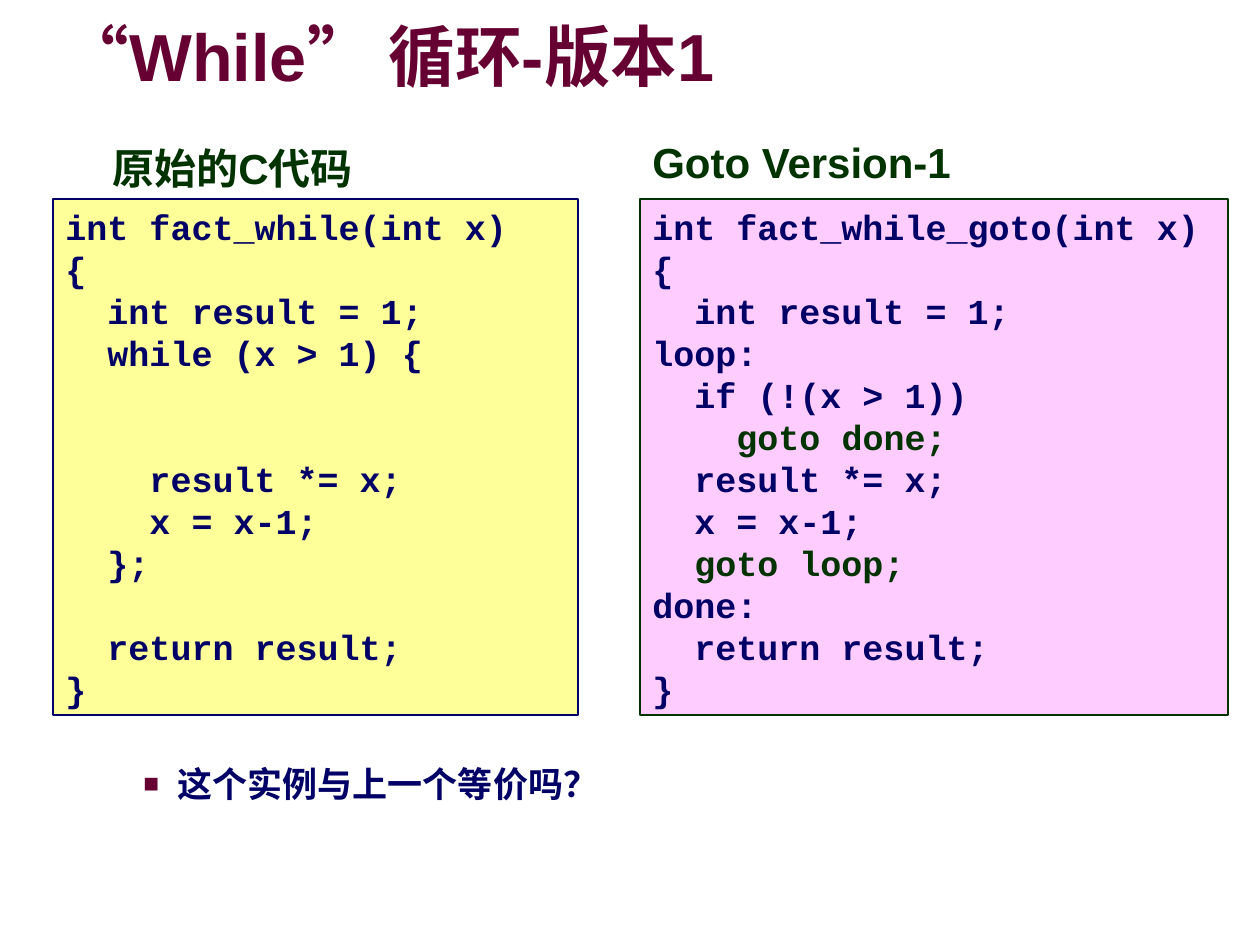
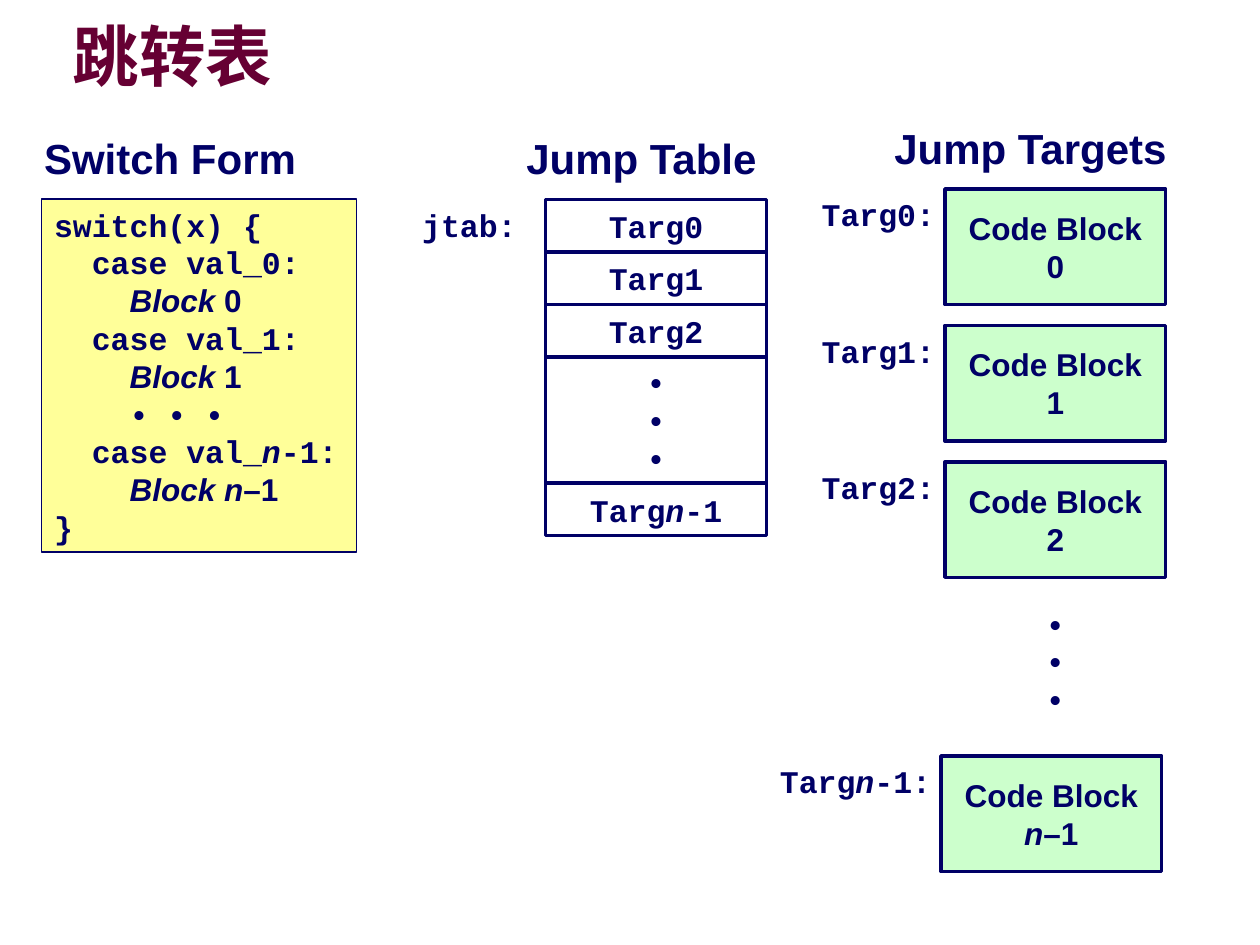
from dataclasses import dataclass, replace
from typing import Optional, Sequence, Union

from lxml import etree
from pptx import Presentation
from pptx.dml.color import RGBColor
from pptx.enum.shapes import MSO_SHAPE as Preset
from pptx.enum.text import MSO_ANCHOR as Anchor, PP_ALIGN as Align
from pptx.oxml.ns import qn
from pptx.util import Cm, Pt

COLORS = {
    "title": "660033",
    "navy": "000066",
    "green": "003300",
    "yellow": "FFFF99",
    "pink": "FFCCFF",
    "mint": "CCFFCC",
    "white": "FFFFFF",
}
SANS, MONO = "Arial", "Courier New"
LINE_FACTOR = 1.2  # line pitch as a multiple of the text size


@dataclass(frozen=True)
class Piece:
    """A stretch of text; unset fields come from the style."""
    text: str
    italic: bool = False
    font: Optional[str] = None
    color: Optional[str] = None


Line = Union[str, Sequence[Piece]]


@dataclass(frozen=True)
class Style:
    font: str
    size: float
    color: str = "navy"
    align: Align = Align.LEFT
    spacing: Optional[float] = None  # relative spacing instead of the fixed pitch


@dataclass(frozen=True)
class Area:
    """Left, top, width and height in centimetres."""
    left: float
    top: float
    width: float
    height: float

    def lengths(self) -> tuple:
        return Cm(self.left), Cm(self.top), Cm(self.width), Cm(self.height)


@dataclass(frozen=True)
class Look:
    fill: str
    line: Optional[str] = "navy"
    weight: float = 2


@dataclass(frozen=True)
class Target:
    name: Sequence[Piece]
    block: Sequence[Piece]
    left: float
    top: float
    label_width: float = 2.79


TITLE = Style(SANS, 38, "title", spacing=0.87)
HEADING = Style(SANS, 24)
CODE = Style(MONO, 20)
SMALL_CODE = Style(MONO, 18)
CELL = replace(SMALL_CODE, align=Align.CENTER)
BLOCK = replace(CELL, font=SANS)
LABEL = replace(SMALL_CODE, align=Align.RIGHT)

N = Piece("n", italic=True)
DOTS = ["•"] * 3

WHILE_CODE = """\
int fact_while(int x)
{
  int result = 1;
  while (x > 1) {


    result *= x;
    x = x-1;
  };

  return result;
}""".splitlines()

GOTO_CODE = [
    "int fact_while_goto(int x)",
    "{",
    "  int result = 1;",
    "loop:",
    "  if (!(x > 1))",
    [Piece("    "), Piece("goto done;", color="green")],
    "  result *= x;",
    "  x = x-1;",
    [Piece("  "), Piece("goto loop;", color="green")],
    "done:",
    "  return result;",
    "}",
]


def block_line(name: str, number: str) -> Line:
    return [Piece("    "), Piece(name, True, SANS), Piece(number, font=SANS)]


SWITCH_CODE = [
    "switch(x) {",
    "  case val_0:",
    block_line("Block", " 0"),
    "  case val_1:",
    block_line("Block", " 1"),
    "    • • •",
    [Piece("  case val_"), N, Piece("-1:")],
    block_line("Block n", "–1"),
    "}",
]


def rgb(name: str) -> RGBColor:
    return RGBColor.from_string(COLORS[name])


def write(shape, lines: Sequence[Line], style: Style, wrap: bool = True,
          anchor: Anchor = Anchor.TOP) -> None:
    """Fill a shape with lines; an empty line becomes space before the next."""
    frame = shape.text_frame
    frame.word_wrap = wrap
    frame.vertical_anchor = anchor
    pitch = style.size * LINE_FACTOR
    skipped = 0
    paragraph = None
    for line in lines:
        if not line:
            skipped += 1
            continue
        paragraph = frame.add_paragraph() if paragraph else frame.paragraphs[0]
        paragraph.alignment = style.align
        paragraph.line_spacing = style.spacing or Pt(pitch)
        if skipped:
            paragraph.space_before = Pt(skipped * pitch)
            skipped = 0
        for piece in [Piece(line)] if isinstance(line, str) else line:
            run = paragraph.add_run()
            run.text = piece.text
            run.font.name = piece.font or style.font
            run.font.size = Pt(style.size)
            run.font.bold = True
            run.font.italic = piece.italic
            run.font.color.rgb = rgb(piece.color or style.color)


def add_text(slide, area: Area, lines: Sequence[Line], style: Style, wrap: bool = False):
    shape = slide.shapes.add_textbox(*area.lengths())
    write(shape, lines, style, wrap)
    return shape


def add_box(slide, area: Area, look: Look, lines: Sequence[Line], style: Style,
            wrap: bool = False, anchor: Anchor = Anchor.MIDDLE) -> None:
    shape = slide.shapes.add_shape(Preset.RECTANGLE, *area.lengths())
    shape.shadow.inherit = False
    shape.fill.solid()
    shape.fill.fore_color.rgb = rgb(look.fill)
    if look.line:
        shape.line.color.rgb = rgb(look.line)
        shape.line.width = Pt(look.weight)
    else:
        shape.line.fill.background()
    write(shape, lines, style, wrap, anchor)


def add_code(slide, area: Area, look: Look, lines: Sequence[Line], style: Style) -> None:
    add_box(slide, area, look, lines, style, wrap=True, anchor=Anchor.TOP)


def add_title(slide, text: str, left: float) -> None:
    shape = add_text(slide, Area(left, 0.43, 19.33, 1.6), [text], TITLE, wrap=True)
    frame = shape.text_frame
    frame.vertical_anchor = Anchor.MIDDLE
    frame.margin_left = frame.margin_right = frame.margin_top = frame.margin_bottom = 0


def add_square_bullet(paragraph) -> None:
    properties = paragraph._p.get_or_add_pPr()
    properties.set("marL", str(Cm(2.06)))
    properties.set("indent", str(Cm(-0.69)))
    color = etree.SubElement(properties, qn("a:buClr"))
    etree.SubElement(color, qn("a:srgbClr"), val=COLORS["title"])
    etree.SubElement(properties, qn("a:buSzPct"), val="75000")
    etree.SubElement(properties, qn("a:buFont"), typeface=SANS)
    etree.SubElement(properties, qn("a:buChar"), char="■")


def build_while_slide(slide) -> None:
    add_title(slide, "“While” 循环-版本1", 1.27)
    left, right, top, height = 1.07, 12.9, 4.01, 10.41
    heading = replace(HEADING, color="green", spacing=1.0, align=Align.CENTER)
    add_text(slide, Area(left, 2.74, 7.24, 1.14), ["原始的C代码"], heading, wrap=True)
    add_code(slide, Area(left, top, 10.59, height), Look("yellow", weight=1), WHILE_CODE, CODE)
    heading = replace(heading, spacing=0.9, align=Align.LEFT)
    add_text(slide, Area(right, 2.74, 8.69, 1.14), ["Goto Version-1"], heading, wrap=True)
    add_code(slide, Area(right, top, 11.86, height), Look("pink", "green", 1), GOTO_CODE, CODE)
    question = add_text(slide, Area(1.27, 15.24, 22.94, 2.74), ["这个实例与上一个等价吗？"],
                        Style(SANS, 20, spacing=1.0), wrap=True)
    add_square_bullet(question.text_frame.paragraphs[0])


def add_targets(slide) -> None:
    left, top, pitch, width, height = 19.05, 3.81, 2.75, 4.45, 2.33
    targets = [
        Target([Piece(f"Targ{i}:")], [Piece(str(i))], left, top + i * pitch)
        for i in range(3)
    ]
    targets.append(Target([Piece("Targ"), N, Piece("-1:")], [N, Piece("–1")],
                          18.97, 15.24, 3.56))
    for target in targets:
        add_box(slide, Area(target.left, target.top, width, height), Look("mint"),
                ["Code Block", target.block], BLOCK)
        label_left = target.left + 0.05 - target.label_width
        add_text(slide, Area(label_left, target.top, target.label_width, 1.02),
                 [target.name], LABEL)
    add_box(slide, Area(left, top + 3 * pitch, width, 2.54), Look("white", None), DOTS, CELL)


def add_jump_table(slide) -> None:
    row_height, dots_height = 1.06, 2.54
    rows = [([f"Targ{i}"], row_height) for i in range(3)]
    rows += [(DOTS, dots_height), ([[Piece("Targ"), N, Piece("-1")]], row_height)]
    top = 4.02
    add_text(slide, Area(8.26, top, 2.41, 1.02), ["jtab:"], SMALL_CODE)
    for lines, height in rows:
        add_box(slide, Area(11, top, 4.45, height), Look("white"), lines, CELL)
        top += height


def build_jump_slide(slide) -> None:
    add_title(slide, "跳转表", 1.47)
    add_targets(slide)
    add_jump_table(slide)
    add_code(slide, Area(0.84, 4.02, 6.35, 7.11), Look("yellow", weight=1),
             SWITCH_CODE, SMALL_CODE)
    headings = [
        ("Switch Form", 0.64, 2.54, 5.59),
        ("Jump Table", 10.36, 2.54, 5.21),
        ("Jump Targets", 17.78, 2.34, 6.05),
    ]
    for text, left, top, width in headings:
        add_text(slide, Area(left, top, width, 1.27), [text], HEADING)


def main() -> None:
    presentation = Presentation()
    presentation.slide_width, presentation.slide_height = Cm(25.4), Cm(19.05)
    blank = presentation.slide_layouts[6]
    for build in (build_while_slide, build_jump_slide):
        build(presentation.slides.add_slide(blank))
    presentation.save("out.pptx")


if __name__ == "__main__":
    main()
